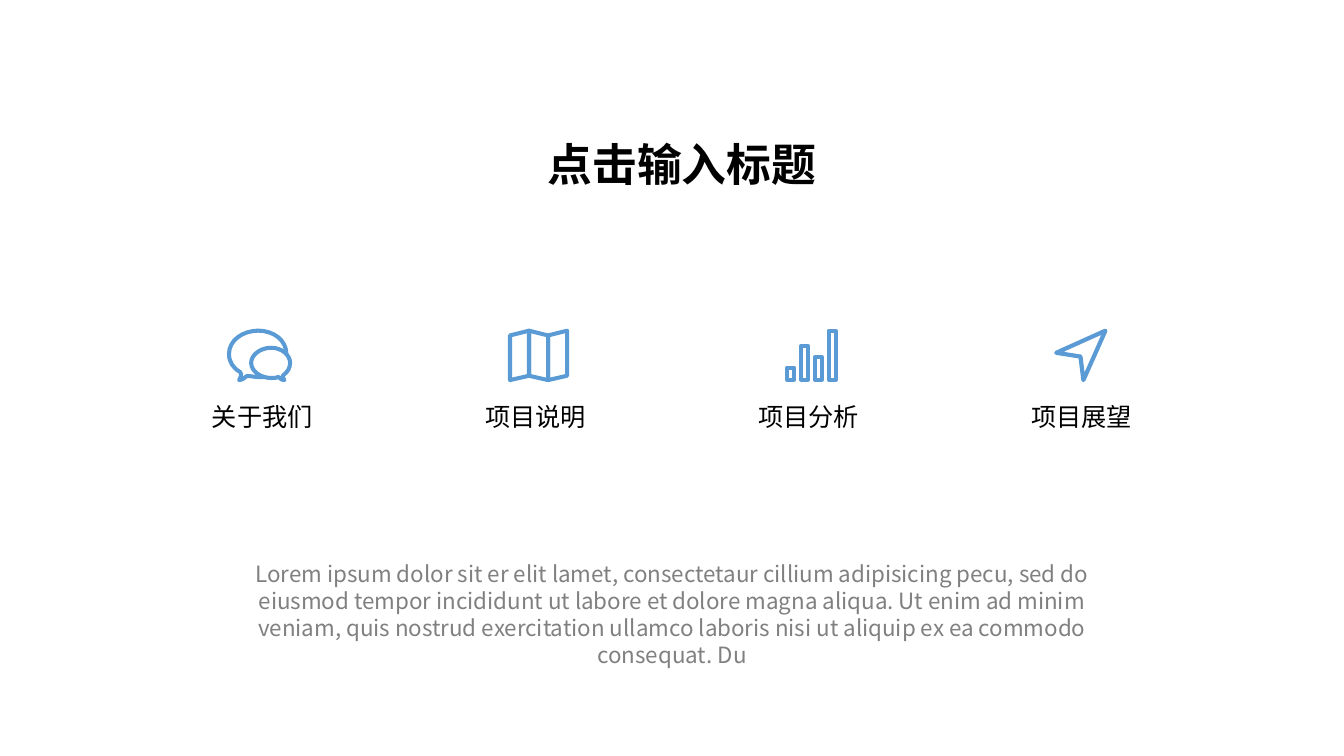
import dataclasses
from typing import Callable, List, Tuple

import lxml.etree
import pptx
import pptx.dml.color
import pptx.enum.shapes
import pptx.enum.text
import pptx.oxml.ns
import pptx.util

Pt = pptx.util.Pt
qn = pptx.oxml.ns.qn
ALIGN = pptx.enum.text.PP_ALIGN
Point = Tuple[float, float]

COLORS = {"icon": "5B9BD5", "text": "000000", "muted": "808080"}
CJK_FONT = "Noto Sans CJK SC"
ICON_TOP, ICON_LINE = 236.2, 2.88
LABEL_LEFT, LABEL_TOP, LABEL_PITCH = 143.8, 283, 195.1
LABEL_WIDTH, LABEL_HEIGHT = 87.1, 28.8


@dataclasses.dataclass
class TextStyle:
    size: float
    font: str = CJK_FONT
    color: str = "text"
    bold: bool = False
    align: ALIGN = ALIGN.CENTER
    wrap: bool = True


@dataclasses.dataclass
class Section:
    label: str
    icon_left: float
    draw_icon: Callable[[float], None]


prs = pptx.Presentation()
prs.slide_width, prs.slide_height = Pt(960), Pt(540)
slide = prs.slides.add_slide(prs.slide_layouts[6])


def rgb(name: str) -> pptx.dml.color.RGBColor:
    return pptx.dml.color.RGBColor.from_string(COLORS[name])


def add_text(text: str, left: float, top: float, width: float, height: float,
             style: TextStyle) -> None:
    s = slide.shapes.add_textbox(Pt(left), Pt(top), Pt(width), Pt(height))
    tf = s.text_frame
    tf.word_wrap = style.wrap
    tf.auto_size = pptx.enum.text.MSO_AUTO_SIZE.SHAPE_TO_FIT_TEXT
    tf.text = text
    p = tf.paragraphs[0]
    p.alignment = style.align
    r = p.runs[0]
    r.font.name, r.font.size, r.font.bold = style.font, Pt(style.size), style.bold
    r.font.color.rgb = rgb(style.color)
    ea = lxml.etree.SubElement(r.font._element, qn("a:ea"))
    ea.set("typeface", CJK_FONT)


def outline(sp: pptx.shapes.autoshape.Shape, width: float = ICON_LINE) -> None:
    """Leave the shape unfilled, with a line that has round joins."""
    sp.shadow.inherit = False
    sp.fill.background()
    sp.line.color.rgb = rgb("icon")
    sp.line.width = Pt(width)
    ln = sp.line._get_or_add_ln()
    ln.set("cap", "rnd")
    lxml.etree.SubElement(ln, qn("a:round"))


def bend(sp: pptx.shapes.autoshape.Shape) -> None:
    """Turn every three line segments into one cubic curve."""
    segments = list(sp._element.iter(qn("a:lnTo")))
    for i in range(0, len(segments), 3):
        cubic = lxml.etree.Element(qn("a:cubicBezTo"))
        segments[i].addprevious(cubic)
        for segment in segments[i:i + 3]:
            cubic.append(segment[0])
            segment.getparent().remove(segment)


def add_outline(left: float, points: List[Point], close: bool = True,
                curved: bool = False, width: float = ICON_LINE) -> None:
    pts = [(Pt(left + x), Pt(ICON_TOP + y)) for x, y in points]
    fb = slide.shapes.build_freeform(*pts[0], scale=1.0)
    fb.add_line_segments(pts[1:], close=close)
    sp = fb.convert_to_shape()
    if curved:
        bend(sp)
    outline(sp, width)


# Icons: each bubble is a start, then three points per curve
BACK_BUBBLE = [
    (24.5, 33.1), (23, 33.1), (22, 33.1), (20.9, 33.1),
    (18.7, 33.1), (15.1, 32.4), (13.7, 32.4),
    (12.2, 31.7), (10.8, 35.3), (7.2, 35.3),
    (7.2, 35.3), (10.1, 31), (7.9, 29.5),
    (2.9, 26.6), (0, 22.3), (0, 16.6),
    (0, 7.2), (9.4, 0), (20.9, 0),
    (32.4, 0), (41, 7.2), (41, 16.6)]
FRONT_BUBBLE = [
    (15.8, 23), (15.8, 28.8), (22.3, 33.8), (30.2, 33.8),
    (31.7, 33.8), (33.8, 33.8), (35.3, 33.1),
    (36, 33.1), (36.7, 35.3), (39.6, 35.3),
    (39.6, 35.3), (37.4, 32.4), (38.9, 31.7),
    (41.8, 29.5), (43.6, 26.6), (43.6, 23),
    (43.6, 17.3), (37.4, 12.2), (30.2, 12.2),
    (22.3, 12.2), (15.8, 17.3), (15.8, 23)]


def draw_bubbles(left: float) -> None:
    add_outline(left, BACK_BUBBLE, close=False, curved=True)
    add_outline(left, FRONT_BUBBLE, curved=True)


def draw_map(left: float) -> None:
    panel = 13.6
    folds = [(3.4, 35.3), (0, 32.2)]
    for i in range(3):
        (top1, bottom1), (top2, bottom2) = folds[i % 2], folds[(i + 1) % 2]
        x1, x2 = i * panel, (i + 1) * panel
        add_outline(left, [(x2, bottom2), (x1, bottom1), (x1, top1), (x2, top2)])


def draw_bars(left: float) -> None:
    for i, height in enumerate((8.6, 24.1, 16, 34.8)):
        sp = slide.shapes.add_shape(
            pptx.enum.shapes.MSO_SHAPE.RECTANGLE, Pt(left + i * 9.9),
            Pt(ICON_TOP + 35 - height), Pt(5), Pt(height))
        outline(sp)


def draw_plane(left: float) -> None:
    add_outline(left, [(19.4, 35.3), (35.1, 0), (0, 15.8), (17.3, 18.5)], width=3)


# Sections: icon above label
SECTIONS = [
    Section("关于我们", 163.6, draw_bubbles),
    Section("项目说明", 364.3, draw_map),
    Section("项目分析", 562.3, draw_bars),
    Section("项目展望", 754.5, draw_plane),
]
label_style = TextStyle(18, font="Arial", wrap=False)
for i, section in enumerate(SECTIONS):
    section.draw_icon(section.icon_left)
    add_text(section.label, LABEL_LEFT + i * LABEL_PITCH, LABEL_TOP,
             LABEL_WIDTH, LABEL_HEIGHT, label_style)

# Description and title
add_text("Lorem ipsum dolor sit er elit lamet, consectetaur cillium adipisicing "
         "pecu, sed do eiusmod tempor incididunt ut labore et dolore magna aliqua. "
         "Ut enim ad minim veniam, quis nostrud exercitation ullamco laboris nisi "
         "ut aliquip ex ea commodo consequat. Du",
         152.1, 396.5, 656, 65.5, TextStyle(16, color="muted"))
add_text("点击输入标题", 384, 94.3, 213, 46,
         TextStyle(32, bold=True, align=ALIGN.LEFT))

prs.save("out.pptx")
